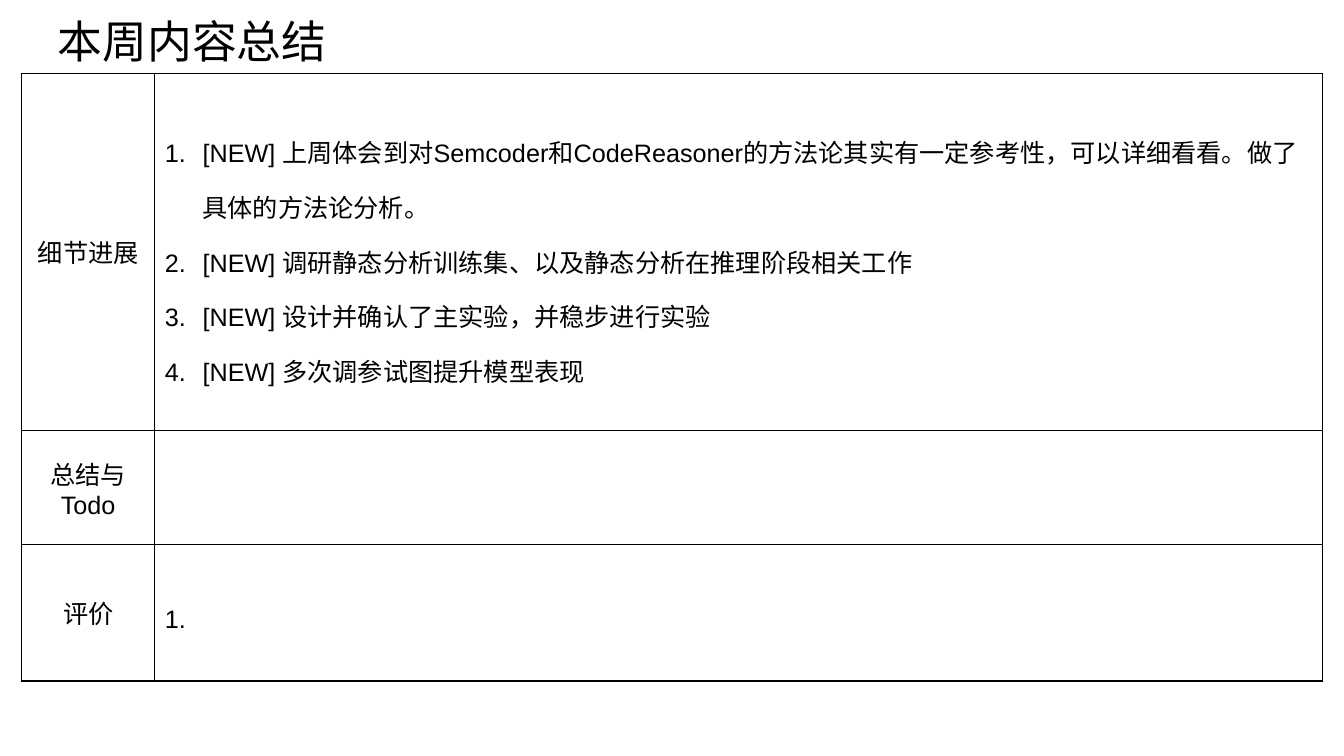
from lxml.etree import SubElement as Sub, Element as Elem
from pptx import Presentation
from pptx.dml.color import RGBColor as Rgb
from pptx.enum.text import MSO_ANCHOR as Anchor, MSO_AUTO_SIZE as Auto, PP_ALIGN as Align
from pptx.oxml.ns import qn
from pptx.util import Pt

HUES = {"ink": "000000", "paper": "FFFFFF"}
CJK = "Noto Sans CJK SC"
HEAD = {"size": Pt(32), "name": CJK, "bold": False}
BODY = {"size": Pt(18), "name": "Arial", "bold": False}
LABEL = {"alignment": Align.CENTER}
ITEM = {"alignment": Align.LEFT, "line_spacing": 1.5}
COLS = [95, 834]
ROWS = [
    (255, "细节进展", [
        "[NEW] 上周体会到对Semcoder和CodeReasoner的方法论其实有一定参考性，可以详细看看。做了具体的方法论分析。",
        "[NEW] 调研静态分析训练集、以及静态分析在推理阶段相关工作",
        "[NEW] 设计并确认了主实验，并稳步进行实验",
        "[NEW] 多次调参试图提升模型表现",
    ]),
    (81.5, "总结与Todo", []),
    (97.5, "评价", [" "]),
]


def apply(target, form):
    """Set each attribute named in a format dict."""
    for key, val in form.items():
        setattr(target, key, val)


def write(para, text, form):
    """Add one run with Latin and East Asian fonts."""
    run = para.add_run()
    run.text = text
    run.font.color.rgb = Rgb.from_string(HUES["ink"])
    apply(run.font, form)
    Sub(run.font._element, qn("a:ea"), typeface=CJK)


def number(para):
    """Give a paragraph an automatic number and hanging indent."""
    props = para._p.get_or_add_pPr()
    props.set("marL", str(Pt(27)))
    props.set("indent", str(-Pt(27)))
    Sub(props, qn("a:buFont"), typeface="+mj-lt")
    Sub(props, qn("a:buAutoNum"), type="arabicPeriod")


def frame(cell):
    """Fill a cell and draw its four borders."""
    cell.fill.solid()
    cell.fill.fore_color.rgb = Rgb.from_string(HUES["paper"])
    cell.vertical_anchor = Anchor.MIDDLE
    props = cell._tc.get_or_add_tcPr()
    for spot, side in enumerate("LRTB"):
        line = Elem(qn("a:ln" + side), w=str(Pt(1)))
        Sub(Sub(line, qn("a:solidFill")), qn("a:srgbClr"), val=HUES["ink"])
        props.insert(spot, line)


def title(slide, text, left, top, width, height):
    """Place the slide title in its box."""
    shape = slide.shapes.title
    apply(shape, {"left": Pt(left), "top": Pt(top),
                  "width": Pt(width), "height": Pt(height)})
    body = shape.text_frame
    apply(body, {"word_wrap": False, "auto_size": Auto.NONE,
                 "vertical_anchor": Anchor.TOP})
    para = body.paragraphs[0]
    para.alignment = Align.LEFT
    write(para, text, HEAD)


def report(slide, left, top):
    """Build the weekly table from its labels and numbered items."""
    high = sum(row[0] for row in ROWS)
    grid = slide.shapes.add_table(len(ROWS), len(COLS), Pt(left), Pt(top),
                                  Pt(sum(COLS)), Pt(high)).table
    apply(grid, {"first_row": False, "horz_banding": False})
    for col, width in zip(grid.columns, COLS):
        col.width = Pt(width)
    for row, (height, label, items) in zip(grid.rows, ROWS):
        row.height = Pt(height)
        for cell in row.cells:
            frame(cell)
        name, notes = (cell.text_frame for cell in row.cells)
        apply(name.paragraphs[0], LABEL)
        write(name.paragraphs[0], label, BODY)
        for spot, item in enumerate(items):
            para = notes.add_paragraph() if spot else notes.paragraphs[0]
            apply(para, ITEM)
            number(para)
            write(para, item, BODY)


def main():
    """Build and save the slide."""
    deck = Presentation()
    apply(deck, {"slide_width": Pt(960), "slide_height": Pt(540)})
    slide = deck.slides.add_slide(deck.slide_layouts[5])
    title(slide, "本周内容总结", 34, 6.5, 208, 46)
    report(slide, 15.5, 52.5)
    deck.save("out.pptx")


if __name__ == "__main__":
    main()
